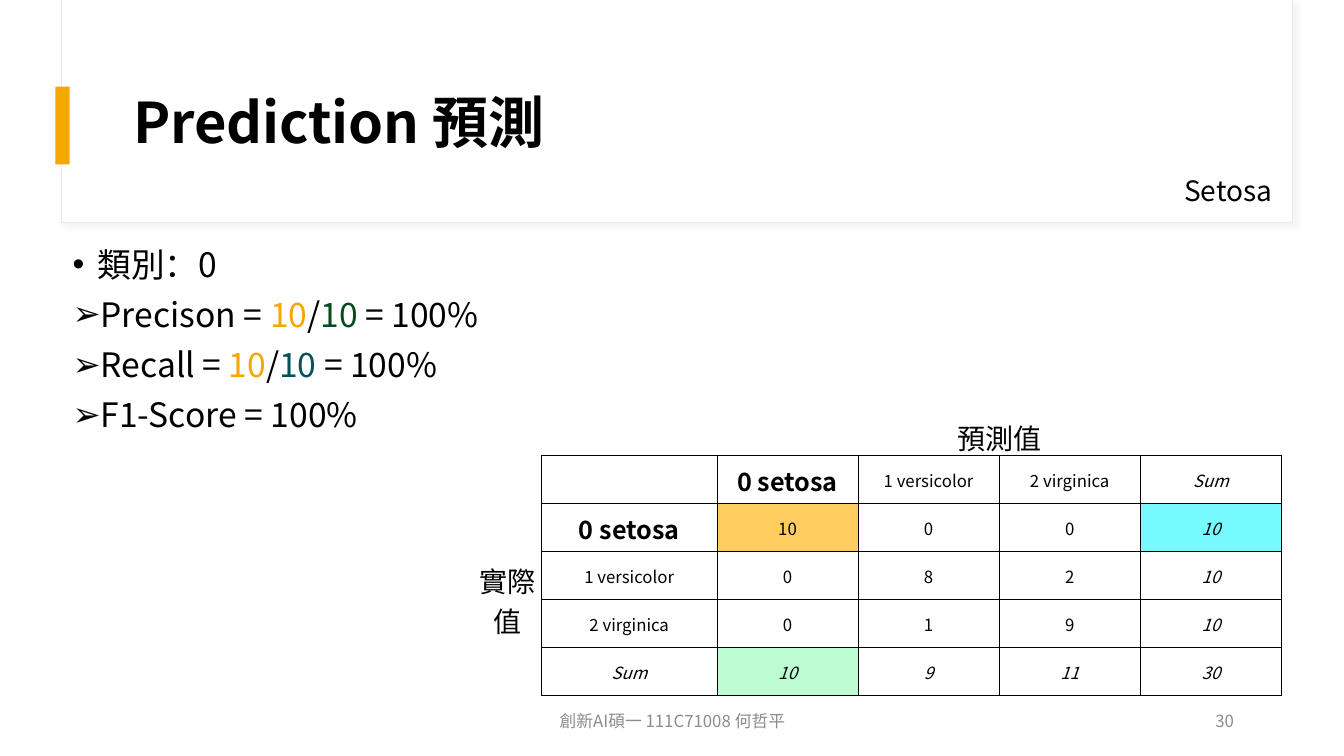
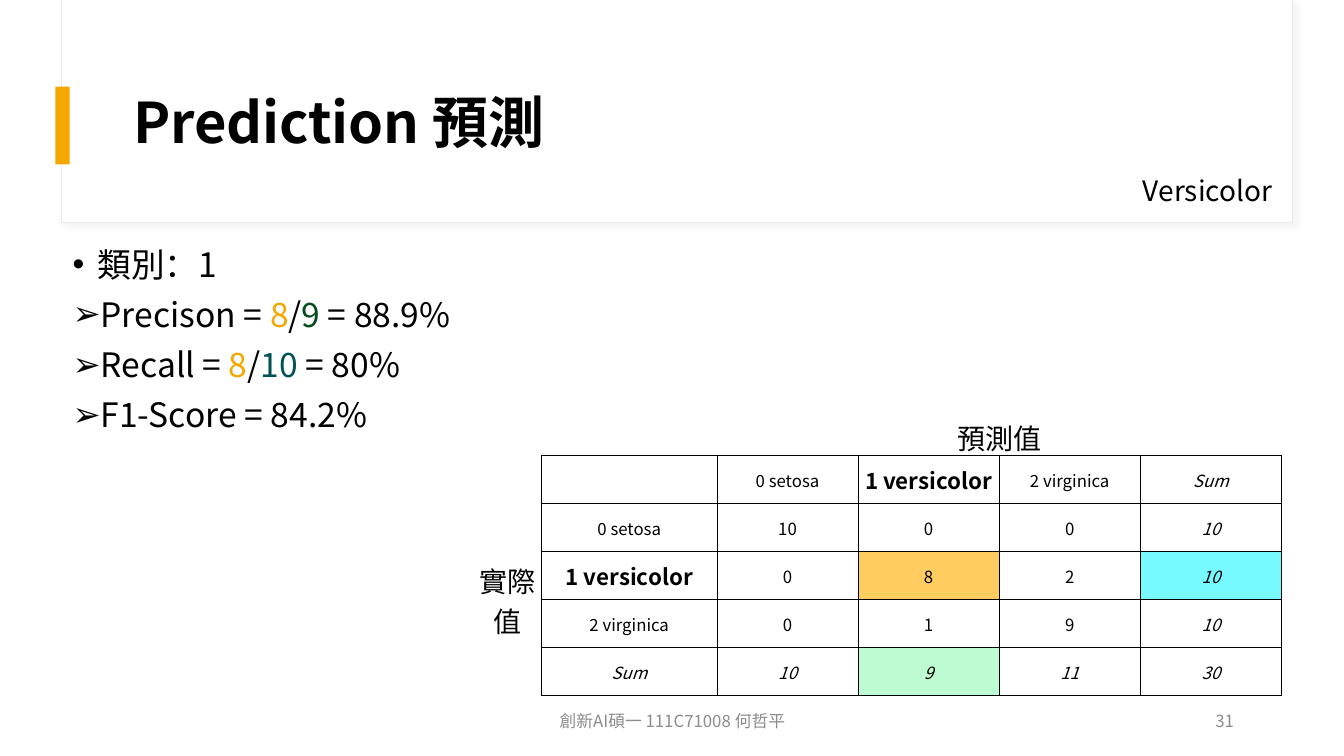
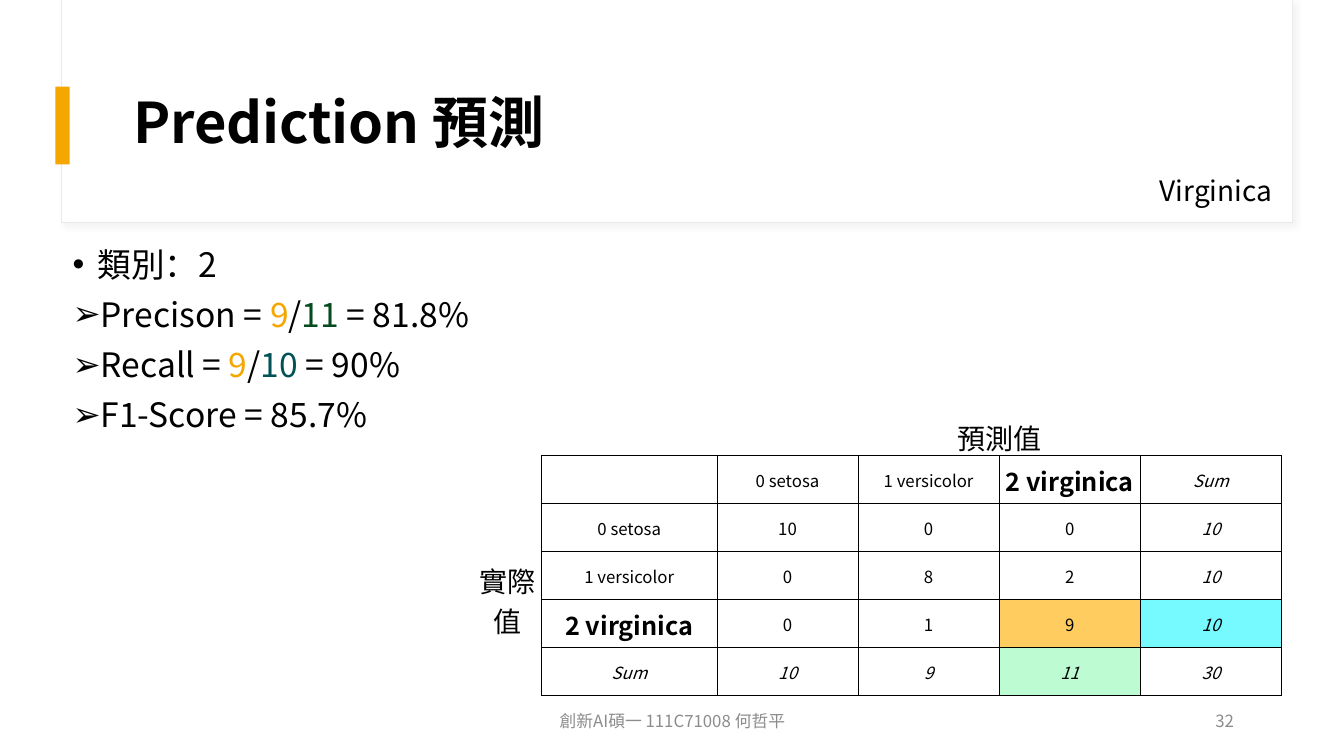
from dataclasses import dataclass
from typing import Optional

from lxml import etree
from pptx import Presentation
from pptx import util as u
from pptx.dml.color import RGBColor
from pptx.enum import shapes, text
from pptx.oxml import ns

SLIDE_WIDTH, SLIDE_HEIGHT = u.Inches(13.33), u.Inches(7.5)


@dataclass(frozen=True)
class Theme:
    font: str = "Noto Sans CJK SC"
    ink: str = "000000"
    paper: str = "FFFFFF"
    frame: str = "E9E9E9"
    shadow: str = "D9D9D9"
    accent: str = "F5A700"
    precision: str = "044B1E"
    recall: str = "005256"
    muted: str = "8C8C8C"
    hit_fill: str = "FFCC60"
    predicted_fill: str = "BDFBD3"
    actual_fill: str = "77FAFF"
    title_size: int = 40
    body_size: int = 24
    label_size: int = 20
    small_size: int = 12


THEME = Theme()


def across(share: float) -> int:
    """Length of a percentage of the slide's width."""
    return round(SLIDE_WIDTH * share / 100)


def down(share: float) -> int:
    """Length of a percentage of the slide's height."""
    return round(SLIDE_HEIGHT * share / 100)


@dataclass(frozen=True)
class Box:
    """A place on the slide, in percent of its width and height."""
    left: float
    top: float
    width: float
    height: float

    def lengths(self) -> tuple[int, int, int, int]:
        return across(self.left), down(self.top), across(self.width), down(self.height)


@dataclass(frozen=True)
class Run:
    words: str
    color: str = THEME.ink


@dataclass(frozen=True)
class Band:
    box: Box
    fill: str
    line: Optional[str] = None


@dataclass(frozen=True)
class IrisClass:
    index: int
    name: str
    emphasis_size: int

    @property
    def label(self) -> str:
        return f"{self.index} {self.name}"


BANDS = (
    Band(Box(4.58, 0, 91.6, 29.47), THEME.paper, THEME.frame),
    Band(Box(4.65, 0, 91.5, 29.33), THEME.paper),
    Band(Box(4.13, 11.47, 1.05, 10.27), THEME.accent),
)
TITLE_BOX = Box(9.15, 8, 83.4, 17.2)
BODY_BOX = Box(4.65, 32.13, 83.4, 53.87)
NAME_BOX = Box(80.7, 22.27, 14.7, 5.87)
NUMBER_BOX = Box(70.05, 92.67, 22.5, 5.33)
FOOTER_BOX = Box(33.15, 92.67, 33.75, 5.33)
TABLE_BOX = Box(35.2, 55.07, 60.2, 36.93)
TABLE_COLUMNS = (5.1, 13.05) + (10.5,) * 4
TABLE_ROWS = (5.2,) + (6.35,) * 5
NO_GRID_STYLE = "{2D5ABB26-0587-4C30-8999-92F81FD0307C}"

FIRST_NUMBER = 30
CLASSES = (
    IrisClass(0, "setosa", 18),
    IrisClass(1, "versicolor", 16),
    IrisClass(2, "virginica", 18),
)
CONFUSION = ((10, 0, 0), (0, 8, 2), (0, 1, 9))
ACTUAL = tuple(sum(row) for row in CONFUSION)
PREDICTED = tuple(sum(column) for column in zip(*CONFUSION))


# Text
def add_run(paragraph, words: str, size: int, color: str = THEME.ink,
            bold: bool = False, italic: bool = False) -> None:
    run = paragraph.add_run()
    run.text = words
    font = run.font
    font.size, font.bold, font.italic = u.Pt(size), bold, italic
    font.color.rgb = RGBColor.from_string(color)
    font.name = THEME.font
    properties = run.font._element
    etree.SubElement(properties, ns.qn("a:ea"), typeface=THEME.font)


def place(shape, box: Box) -> None:
    shape.left, shape.top, shape.width, shape.height = box.lengths()


def add_label(slide, box: Box, words: str, size: int, color: str,
              alignment, anchor=text.MSO_ANCHOR.MIDDLE) -> None:
    frame = slide.shapes.add_textbox(*box.lengths()).text_frame
    frame.word_wrap = True
    frame.vertical_anchor = anchor
    paragraph = frame.paragraphs[0]
    paragraph.alignment = alignment
    add_run(paragraph, words, size, color)


def add_bullet(paragraph, symbol: str) -> None:
    properties = paragraph._p.get_or_add_pPr()
    properties.set("marL", str(u.Inches(0.25)))
    properties.set("indent", str(-u.Inches(0.25)))
    etree.SubElement(properties, ns.qn("a:buChar"), char=symbol)


# Header bands, kept on the layout
def add_frame_shadow(shape) -> None:
    effects = shape._element.spPr.find(ns.qn("a:effectLst"))
    shadow = etree.SubElement(effects, ns.qn("a:outerShdw"), blurRad=str(u.Pt(4)),
                              dist=str(u.Pt(3)), dir=str(45 * 60000),
                              algn="tl", rotWithShape="0")
    color = etree.SubElement(shadow, ns.qn("a:srgbClr"), val=THEME.shadow)
    etree.SubElement(color, ns.qn("a:alpha"), val="30000")


def move_bands_to_layout(slide, layout) -> None:
    for order, band in enumerate(BANDS):
        shape = slide.shapes.add_shape(shapes.MSO_SHAPE.RECTANGLE, *band.box.lengths())
        shape.shadow.inherit = False
        shape.fill.solid()
        shape.fill.fore_color.rgb = RGBColor.from_string(band.fill)
        if band.line:
            shape.line.color.rgb = RGBColor.from_string(band.line)
            shape.line.width = u.Pt(0.75)
            add_frame_shadow(shape)
        else:
            shape.line.fill.background()
        element = shape.element
        element.nvSpPr.cNvPr.set("id", str(100 + order))
        layout.shapes.element.insert(2 + order, element)


# Title and list
def fill_title(slide) -> None:
    title = slide.shapes.title
    place(title, TITLE_BOX)
    frame = title.text_frame
    frame.auto_size = text.MSO_AUTO_SIZE.NONE
    frame.vertical_anchor = text.MSO_ANCHOR.MIDDLE
    paragraph = frame.paragraphs[0]
    paragraph.alignment = text.PP_ALIGN.LEFT
    paragraph.line_spacing = 0.9
    add_run(paragraph, "Prediction 預測", THEME.title_size, bold=True)


def percent(share: float) -> str:
    return f"{100 * share:.3g}%"


def ratio(name: str, hits: int, total: int, color: str) -> tuple[Run, ...]:
    return (Run(f"{name} = "), Run(str(hits), THEME.accent), Run("/"),
            Run(str(total), color), Run(f" = {percent(hits / total)}"))


def fill_scores(slide, chosen: IrisClass) -> None:
    hits = CONFUSION[chosen.index][chosen.index]
    predicted, actual = PREDICTED[chosen.index], ACTUAL[chosen.index]
    lines = (
        (Run(f"類別：{chosen.index}"),),
        ratio("Precison", hits, predicted, THEME.precision),
        ratio("Recall", hits, actual, THEME.recall),
        (Run(f"F1-Score = {percent(2 * hits / (predicted + actual))}"),),
    )
    body = slide.placeholders[1]
    place(body, BODY_BOX)
    frame = body.text_frame
    frame.auto_size = text.MSO_AUTO_SIZE.NONE
    for order, runs in enumerate(lines):
        paragraph = frame.add_paragraph() if order else frame.paragraphs[0]
        add_bullet(paragraph, "➢" if order else "•")
        paragraph.line_spacing = 0.9
        paragraph.space_before = u.Pt(10 if order else 0)
        for run in runs:
            add_run(paragraph, run.words, THEME.body_size, run.color)


# Confusion matrix
def add_borders(cell, sides: tuple[str, ...]) -> None:
    properties = cell._tc.get_or_add_tcPr()
    for order, side in enumerate(sides):
        line = etree.Element(ns.qn(f"a:ln{side}"), w=str(u.Pt(0.5)))
        fill = etree.SubElement(line, ns.qn("a:solidFill"))
        etree.SubElement(fill, ns.qn("a:srgbClr"), val=THEME.ink)
        properties.insert(order, line)


def write_cell(cell, words: str, size: int = THEME.small_size,
               bold: bool = False, italic: bool = False) -> None:
    paragraph = cell.text_frame.paragraphs[0]
    paragraph.alignment = text.PP_ALIGN.CENTER
    add_run(paragraph, words, size, bold=bold, italic=italic)


def format_cell(cell, row: int, column: int, fill: Optional[str]) -> None:
    cell.vertical_anchor = text.MSO_ANCHOR.MIDDLE
    cell.margin_left = cell.margin_top = cell.margin_right = u.Inches(0.01)
    cell.margin_bottom = 0
    if fill:
        cell.fill.solid()
        cell.fill.fore_color.rgb = RGBColor.from_string(fill)
    else:
        cell.fill.background()
    drawn = {"L": row and column, "R": row, "T": row and column, "B": column}
    add_borders(cell, tuple(side for side, shown in drawn.items() if shown))


def add_matrix(slide, chosen: IrisClass) -> None:
    graphic = slide.shapes.add_table(len(TABLE_ROWS), len(TABLE_COLUMNS),
                                     *TABLE_BOX.lengths())
    table = graphic.table
    table.first_row = table.horz_banding = False
    table._tbl.tblPr.find(ns.qn("a:tableStyleId")).text = NO_GRID_STYLE
    for column, share in zip(table.columns, TABLE_COLUMNS):
        column.width = across(share)
    for row, share in zip(table.rows, TABLE_ROWS):
        row.height = down(share)

    # Class k stands in row and column k + 2; the sums come last
    picked, total = chosen.index + 2, len(CLASSES) + 2
    fills = {(picked, picked): THEME.hit_fill,
             (picked, total): THEME.actual_fill,
             (total, picked): THEME.predicted_fill}
    for row in range(len(TABLE_ROWS)):
        for column in range(len(TABLE_COLUMNS)):
            format_cell(table.cell(row, column), row, column, fills.get((row, column)))

    # Axis names
    table.cell(0, 2).merge(table.cell(0, total))
    write_cell(table.cell(0, 2), "預測值", THEME.label_size)
    table.cell(2, 0).merge(table.cell(total, 0))
    write_cell(table.cell(2, 0), "實際值", THEME.label_size)
    table.cell(2, 0)._tc.get_or_add_tcPr().set("vert", "eaVert")

    # Class names
    for iris in CLASSES:
        bold = iris == chosen
        size = iris.emphasis_size if bold else THEME.small_size
        for position in ((1, iris.index + 2), (iris.index + 2, 1)):
            write_cell(table.cell(*position), iris.label, size, bold)
    for position in ((1, total), (total, 1)):
        write_cell(table.cell(*position), "Sum", italic=True)

    # Counts and sums
    counts = [(*row, count) for row, count in zip(CONFUSION, ACTUAL)]
    counts.append((*PREDICTED, sum(PREDICTED)))
    for row, values in enumerate(counts, 2):
        for column, value in enumerate(values, 2):
            write_cell(table.cell(row, column), str(value), italic=total in (row, column))


def add_class_slide(presentation, layout, chosen: IrisClass) -> None:
    slide = presentation.slides.add_slide(layout)
    if chosen.index == 0:
        move_bands_to_layout(slide, layout)
    fill_title(slide)
    fill_scores(slide, chosen)
    add_label(slide, NAME_BOX, chosen.name.capitalize(), THEME.label_size, THEME.ink,
              text.PP_ALIGN.RIGHT, text.MSO_ANCHOR.TOP)
    add_label(slide, NUMBER_BOX, str(FIRST_NUMBER + chosen.index), THEME.small_size,
              THEME.muted, text.PP_ALIGN.RIGHT)
    add_label(slide, FOOTER_BOX, "創新AI碩一 111C71008 何哲平", THEME.small_size,
              THEME.muted, text.PP_ALIGN.CENTER)
    add_matrix(slide, chosen)


def main() -> None:
    presentation = Presentation()
    presentation.slide_width, presentation.slide_height = SLIDE_WIDTH, SLIDE_HEIGHT
    layout = presentation.slide_layouts[1]
    for chosen in CLASSES:
        add_class_slide(presentation, layout, chosen)
    presentation.save("out.pptx")


if __name__ == "__main__":
    main()
